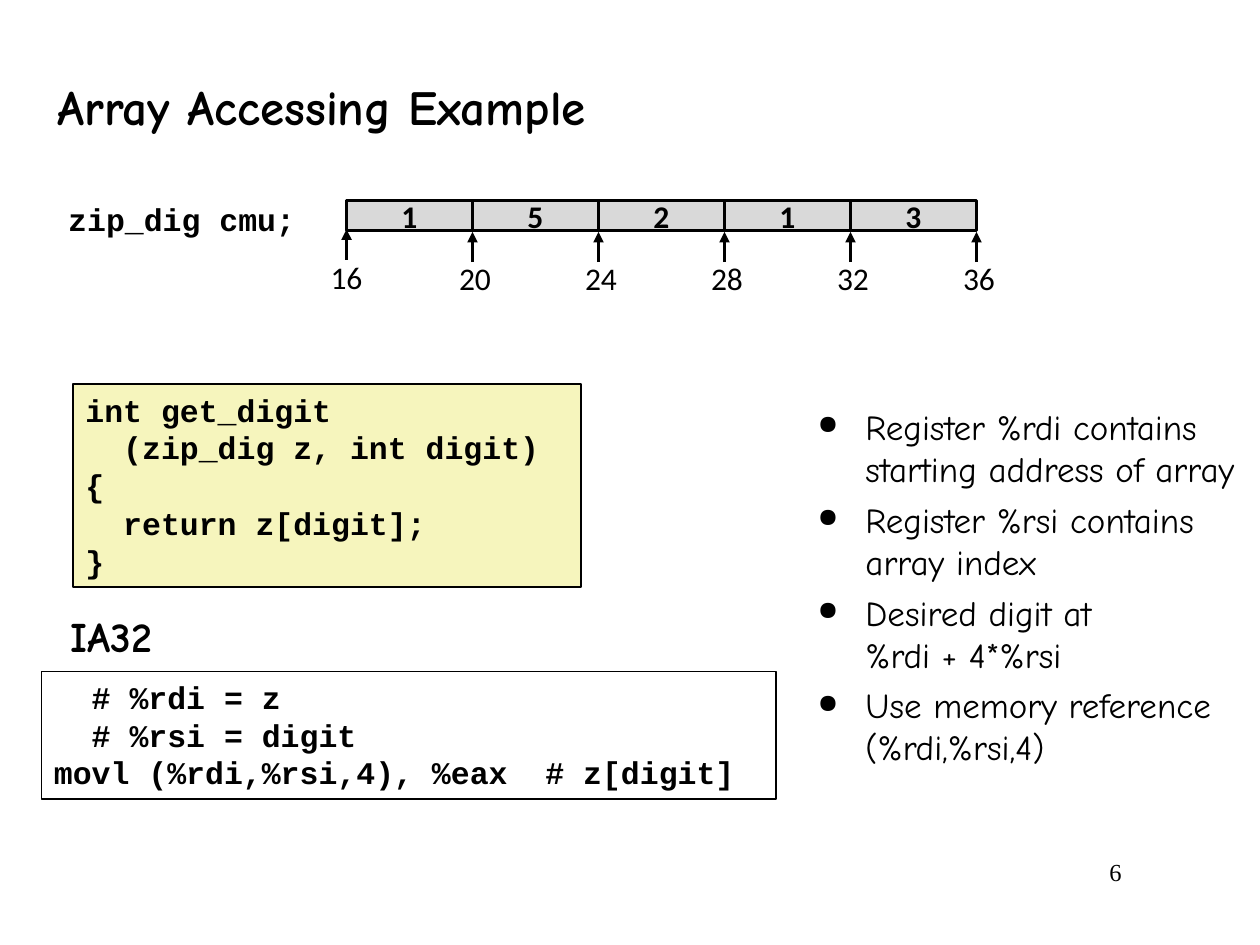
"""Build the slide on array access, with memory cells, code boxes and notes."""
import pptx
import pptx.chart.data
import pptx.dml.color
import pptx.enum.shapes
import pptx.enum.text
import pptx.oxml
import pptx.oxml.ns
import pptx.util
from lxml import etree

In = pptx.util.Inches
Pt = pptx.util.Pt
Rgb = pptx.dml.color.RGBColor.from_string
Align = pptx.enum.text.PP_ALIGN
Anchor = pptx.enum.text.MSO_ANCHOR
Rect = pptx.enum.shapes.MSO_SHAPE.RECTANGLE
Line = pptx.enum.shapes.MSO_CONNECTOR.STRAIGHT
qn = pptx.oxml.ns.qn

THEME = {
    "ink": "000000", "code": "F6F5BD", "cell": "D9D9D9",
    "title": ("Comic Neue", 28, True),
    "head": ("Comic Neue", 24, True),
    "body": ("Comic Neue", 20, False),
    "mono": ("Courier New", 18, True),
    "digit": ("Calibri", 18, True),
    "mark": ("Calibri", 18, False),
    "page": ("Times New Roman", 14, False),
}

TEXTS = [
    ((0.36, 0.34, 8.83, 1), ["Array Accessing Example"], "title", Align.LEFT, Anchor.MIDDLE),
    ((0.46, 4.8, 1.04, 0.5), ["IA32"], "head", Align.LEFT, Anchor.TOP),
    ((0.33, 1.54, 2.11, 0.4), ["zip_dig cmu;"], "mono", Align.RIGHT, Anchor.TOP),
    ((7.58, 6.75, 1.42, 0.5), ["6"], "page", Align.RIGHT, Anchor.TOP),
]
CODES = [
    ((0.58, 3.05, 4.03, 1.61), "code", [
        "int get_digit",
        "  (zip_dig z, int digit)",
        "{",
        "  return z[digit];",
        "}",
    ]),
    ((0.33, 5.33, 5.83, 1.01), None, [
        "  # %rdi = z",
        "  # %rsi = digit",
        "movl (%rdi,%rsi,4), %eax  # z[digit]",
    ]),
]
NOTES = [
    "Register %rdi contains starting address of array",
    "Register %rsi contains \varray index",
    "Desired digit at \v%rdi + 4*%rsi",
    "Use memory reference (%rdi,%rsi,4)",
]
DIGITS = [1, 5, 2, 1, 3]
START, BYTES = 16, 4
LEFT, TOP, WIDE, HIGH = 2.75, 1.59, 1, 0.24


def write(shape, lines, role, align=Align.LEFT, anchor=Anchor.TOP):
    frame = shape.text_frame
    frame.word_wrap = True
    frame.vertical_anchor = anchor
    face, size, bold = THEME[role]
    for i, line in enumerate(lines):
        para = frame.add_paragraph() if i else frame.paragraphs[0]
        para.text = line
        para.alignment = align
        font = para.font
        font.name, font.size, font.bold = face, Pt(size), bold
        font.color.rgb = Rgb(THEME["ink"])
    return frame


def label(slide, box, *text):
    return write(slide.shapes.add_textbox(*map(In, box)), *text)


def panel(slide, box, fill, width, *text):
    shape = slide.shapes.add_shape(Rect, *map(In, box))
    shape.shadow.inherit = False
    if fill:
        shape.fill.solid()
        shape.fill.fore_color.rgb = Rgb(THEME[fill])
    else:
        shape.fill.background()
    shape.line.color.rgb = Rgb(THEME["ink"])
    shape.line.width = Pt(width)
    return write(shape, *text)


def arrow(slide, x, low, high):
    link = slide.shapes.add_connector(Line, In(x), In(low), In(x), In(high))
    link.line.color.rgb = Rgb(THEME["ink"])
    link.line.width = Pt(2)
    etree.SubElement(link.line._get_or_add_ln(), qn("a:tailEnd"), type="triangle")
    etree.SubElement(link._element.spPr, qn("a:effectLst"))


def cells(slide):
    for i, digit in enumerate(DIGITS):
        box = (LEFT + i * WIDE, TOP, WIDE, HIGH)
        frame = panel(slide, box, "cell", 2, [str(digit)], "digit", Align.CENTER, Anchor.MIDDLE)
        frame.word_wrap = False
    for i in range(len(DIGITS) + 1):
        x = LEFT + i * WIDE
        drop = 0.02 if i else 0
        arrow(slide, x, 2.06 + drop, 1.82 + drop)
        box = (x + drop - 0.54, 2 + drop / 2, 1.08, 0.4)
        label(slide, box, [str(START + i * BYTES)], "mark", Align.CENTER)


def notes(slide):
    frame = label(slide, (6.22, 3.17, 3.75, 3.26), NOTES, "body")
    for i, para in enumerate(frame.paragraphs):
        if i:
            para.space_before = Pt(5)
        props = para._p.get_or_add_pPr()
        props.set("marL", str(In(0.55)))
        props.set("indent", str(In(-0.38)))
        size = etree.Element(qn("a:buSzPct"), val="75000")
        dot = etree.Element(qn("a:buChar"), char="●")
        last = props.find(qn("a:defRPr"))
        last.addprevious(size)
        last.addprevious(dot)


def main():
    deck = pptx.Presentation()
    deck.slide_width, deck.slide_height = In(10), In(7.5)
    slide = deck.slides.add_slide(deck.slide_layouts[6])
    for item in TEXTS:
        label(slide, *item)
    notes(slide)
    for box, fill, lines in CODES:
        panel(slide, box, fill, 1, lines, "mono")
    cells(slide)
    deck.save("out.pptx")


if __name__ == "__main__":
    main()
